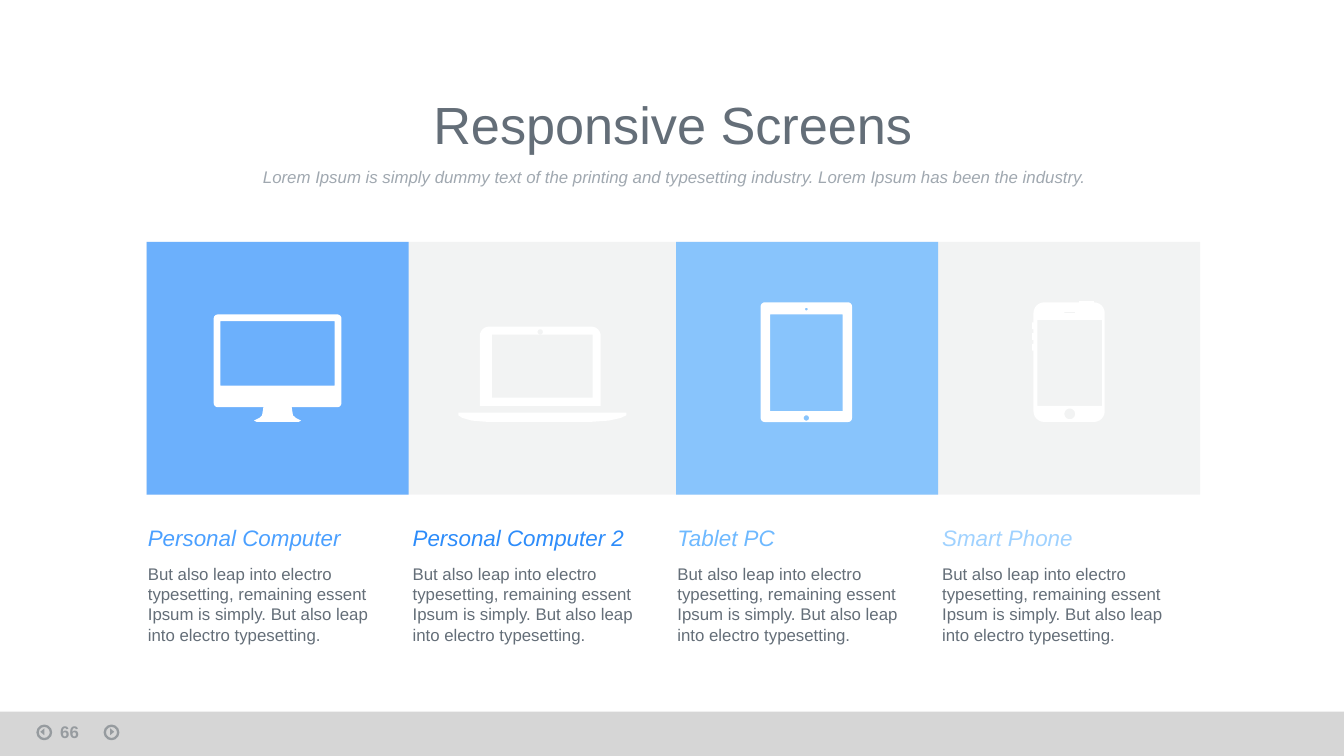
from math import cos, pi, sin

from lxml import etree
from pptx import Presentation
from pptx.dml.color import RGBColor
from pptx.enum.shapes import MSO_SHAPE
from pptx.enum.text import MSO_ANCHOR, MSO_AUTO_SIZE, PP_ALIGN
from pptx.oxml.ns import qn
from pptx.util import Inches, Pt

RECT, OVAL, TRIANGLE = MSO_SHAPE.RECTANGLE, MSO_SHAPE.OVAL, MSO_SHAPE.ISOSCELES_TRIANGLE
MIDDLE, TOP = MSO_ANCHOR.MIDDLE, MSO_ANCHOR.TOP
LEFT, CENTER = PP_ALIGN.LEFT, PP_ALIGN.CENTER

SLIDE_W = 10
SLIDE_H = SLIDE_W * 9 / 16
INK, GREY, WHITE = "051423", "646E78", "FFFFFF"
TITLE = "Responsive Screens"
SUBTITLE = ("Lorem Ipsum is simply dummy text of the printing and typesetting industry. "
            "Lorem Ipsum has been the industry.")
BODY = ("But also leap into electro typesetting, remaining essent Ipsum is simply. "
        "But also leap into electro typesetting.")
PAGE = "66"
# heading, colour, whether the column has a coloured panel
DEVICES = [
    ("Personal Computer", "4BA0FF", True),
    ("Personal Computer 2", "2D8CFA", False),
    ("Tablet PC", "6EB9FF", True),
    ("Smart Phone", "A0D2FF", False),
]
BAND_LEFT, BAND_TOP, BAND_W, BAND_H = 1.09, 1.8, 7.84, 1.88
PITCH, PANEL_W, TEXT_W = 1.97, 1.95, 1.71
FOOTER_H = 0.33
ARROWS = [(0.28, 0.29, 270), (0.78, 0.81, 90)]  # ring left, triangle left, rotation


def rounded(left, top, width, height, radius=0):
    """Points of a rectangle whose corners are quarter circles."""
    if not radius:
        return [(left, top), (left + width, top),
                (left + width, top + height), (left, top + height)]
    right, bottom = left + width - radius, top + height - radius
    corners = [(right, bottom), (left + radius, bottom),
               (left + radius, top + radius), (right, top + radius)]
    return [(x + radius * cos((quarter + step / 6) * pi / 2),
             y + radius * sin((quarter + step / 6) * pi / 2))
            for quarter, (x, y) in enumerate(corners) for step in range(7)]


def dot(x, y, radius):
    return rounded(x - radius, y - radius, 2 * radius, 2 * radius, radius)


# Each icon is a list of contours; inner ones cut holes
ICONS = [
    [rounded(1.59, 2.34, 0.95, 0.69, 0.03), rounded(1.64, 2.39, 0.85, 0.48),
     [(1.96, 3.03), (2.17, 3.03), (2.18, 3.09), (2.2, 3.11), (2.24, 3.13),
      (2.22, 3.14), (1.91, 3.14), (1.89, 3.13), (1.93, 3.11), (1.95, 3.09)]],
    [[*rounded(3.57, 2.43, 0.9, 0.59, 0.07)[14:], (4.47, 3.02), (3.57, 3.02)],
     dot(4.02, 2.47, 0.02), rounded(3.66, 2.49, 0.75, 0.47),
     [(3.41, 3.07), (4.66, 3.07), (4.66, 3.09), (4.62, 3.11), (4.53, 3.13), (4.39, 3.14),
      (3.63, 3.14), (3.51, 3.13), (3.44, 3.11), (3.41, 3.09)]],
    [rounded(5.66, 2.25, 0.68, 0.89, 0.03), rounded(5.73, 2.34, 0.54, 0.72),
     dot(6, 3.11, 0.02), dot(6, 2.3, 0.01)],
    [rounded(7.69, 2.25, 0.53, 0.89, 0.08), rounded(7.72, 2.38, 0.48, 0.64),
     dot(7.96, 3.08, 0.04), rounded(7.92, 2.32, 0.08, 0.01),
     rounded(8.03, 2.24, 0.11, 0.01),
     *[rounded(7.68, top, 0.01, 0.05) for top in (2.4, 2.48, 2.56)]],
]


def paint(colour_format, colour, alpha=100):
    """Set a solid fill (of a shape or a line) with an opacity in percent."""
    colour_format.solid()
    colour_format.fore_color.rgb = RGBColor.from_string(colour)
    if alpha < 100:
        node = colour_format.fore_color._xFill.find(qn("a:srgbClr"))
        etree.SubElement(node, qn("a:alpha"), val=str(alpha * 1000))


def add_block(slide, kind, box, colour, alpha, rotation=0):
    shape = slide.shapes.add_shape(kind, *map(Inches, box))
    shape.shadow.inherit = False
    shape.rotation = rotation
    paint(shape.fill, colour, alpha)
    shape.line.fill.background()
    return shape


def add_icon(slide, contours):
    emu = [[(Inches(x), Inches(y)) for x, y in contour] for contour in contours]
    builder = slide.shapes.build_freeform(*emu[0][0])
    builder.add_line_segments(emu[0][1:], close=True)
    for contour in emu[1:]:
        builder.move_to(*contour[0])
        builder.add_line_segments(contour[1:], close=True)
    icon = builder.convert_to_shape()
    icon.shadow.inherit = False
    paint(icon.fill, WHITE)
    icon.line.fill.background()


def write(shape, box, text, colour, size, alpha=100, align=LEFT, spacing=1.0,
          anchor=MIDDLE, insets=(0, 0), **font_format):
    shape.left, shape.top, shape.width, shape.height = map(Inches, box)
    across, down = map(Inches, insets)
    frame = shape.text_frame
    frame_format = {"word_wrap": True, "auto_size": MSO_AUTO_SIZE.NONE,
                    "vertical_anchor": anchor, "margin_left": across,
                    "margin_right": across, "margin_top": down, "margin_bottom": down}
    for name, value in frame_format.items():
        setattr(frame, name, value)
    paragraph = frame.paragraphs[0]
    paragraph.alignment, paragraph.line_spacing = align, spacing
    run = paragraph.add_run()
    run.text = text
    for name, value in {"name": "Arial", "size": Pt(size), **font_format}.items():
        setattr(run.font, name, value)
    paint(run.font.fill, colour, alpha)


def add_text(slide, box, *args, **options):
    write(slide.shapes.add_textbox(*map(Inches, box)), box, *args, **options)


def add_footer(slide):
    add_block(slide, RECT, (0, SLIDE_H - FOOTER_H, SLIDE_W, FOOTER_H), "D2D2D2", 90)
    for ring_left, arrow_left, rotation in ARROWS:
        ring = add_block(slide, OVAL, (ring_left, 5.4, 0.1, 0.1), INK, 30)
        ring.fill.background()
        paint(ring.line.fill, INK, 30)
        ring.line.width = Pt(1.25)
        add_block(slide, TRIANGLE, (arrow_left, 5.43, 0.05, 0.03), INK, 30, rotation)
    add_text(slide, (0.35, 5.32, 0.46, 0.21), PAGE, INK, 9, alpha=30, anchor=TOP,
             insets=(0.1, 0.05), bold=True)


def main():
    deck = Presentation()
    deck.slide_width, deck.slide_height = Inches(SLIDE_W), Inches(SLIDE_H)
    slide = deck.slides.add_slide(deck.slide_layouts[5])
    add_footer(slide)

    write(slide.shapes.title, (1.75, 0.72, 6.51, 0.52), TITLE, GREY, 28,
          align=CENTER, spacing=0.7)
    add_text(slide, (1.76, 1.16, 6.51, 0.29), SUBTITLE, "A0A8B0", 9,
             align=CENTER, spacing=Pt(12), italic=True)

    add_block(slide, RECT, (BAND_LEFT, BAND_TOP, BAND_W, BAND_H), INK, 5)
    for column, ((heading, colour, has_panel), icon) in enumerate(zip(DEVICES, ICONS)):
        left = BAND_LEFT + column * PITCH
        if has_panel:
            add_block(slide, RECT, (left, BAND_TOP, PANEL_W, BAND_H), colour, 80)
        add_icon(slide, icon)
        text_left = left + 0.01
        add_text(slide, (text_left, 3.87, TEXT_W, 0.29), heading, colour, 12,
                 spacing=0.8, italic=True)
        add_text(slide, (text_left, 4.16, TEXT_W, 0.67), BODY, GREY, 9)

    deck.save("out.pptx")


if __name__ == "__main__":
    main()
